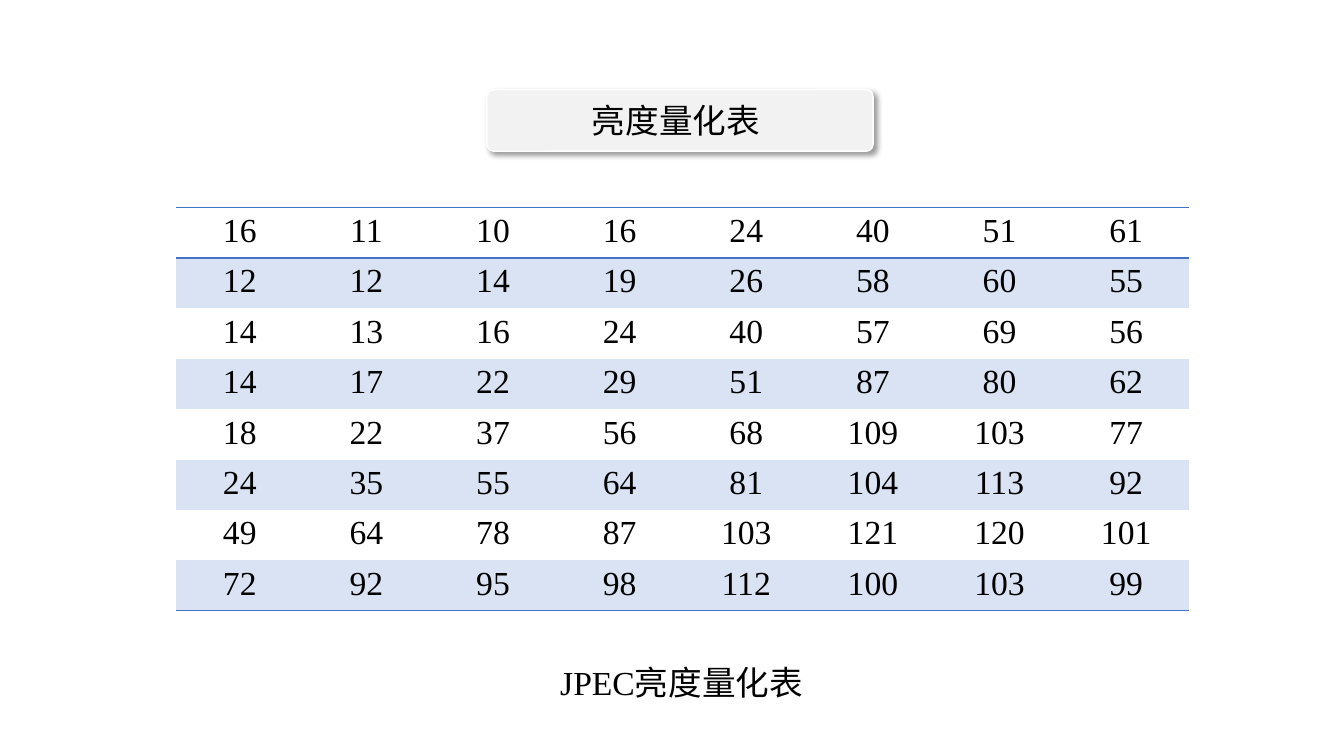
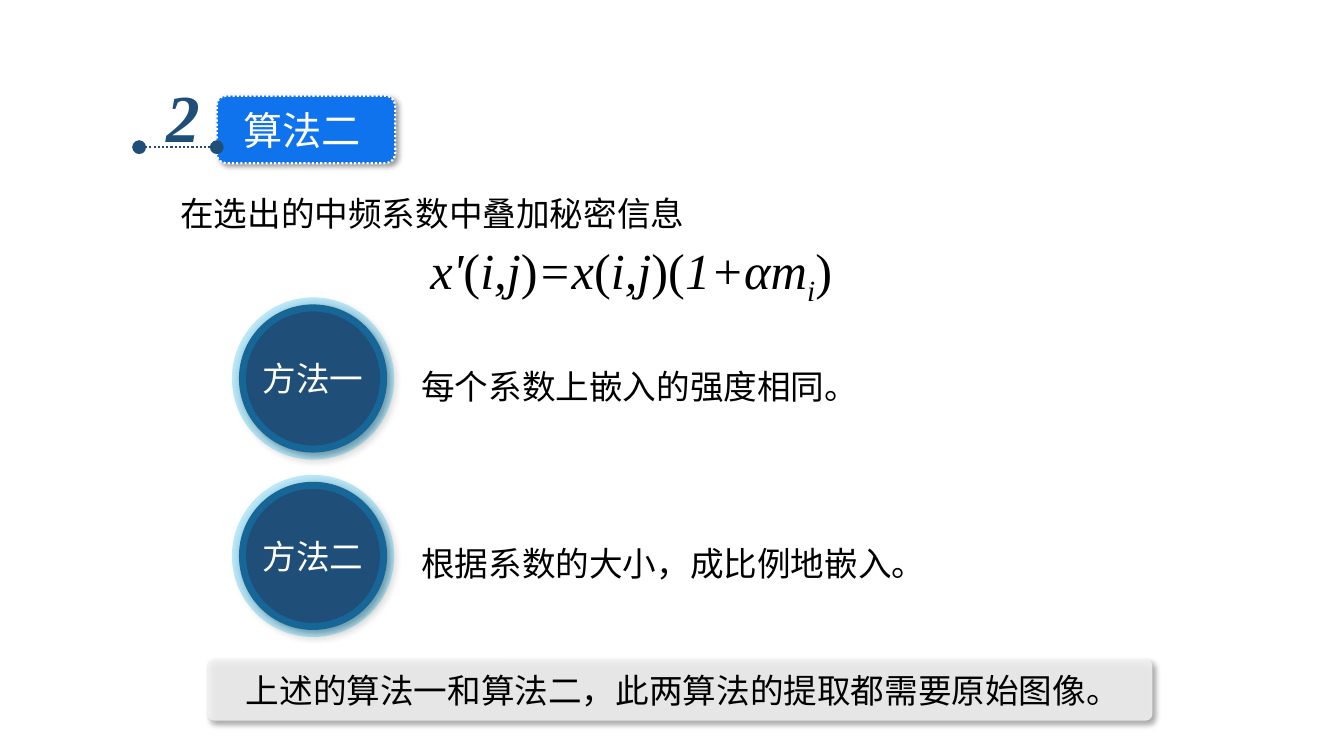
from dataclasses import dataclass

from lxml import etree
from pptx import Presentation
from pptx import util as u
from pptx.dml import color
from pptx.enum import dml, shapes, text
from pptx.oxml import ns

ROUND = shapes.MSO_SHAPE.ROUNDED_RECTANGLE
OVAL = shapes.MSO_SHAPE.OVAL
LEFT = text.PP_ALIGN.LEFT
MID = text.PP_ALIGN.CENTER


@dataclass(frozen=True)
class Theme:
    black: str = "000000"
    white: str = "FFFFFF"
    grey: str = "F2F2F2"
    navy: str = "1F4E79"
    blue: str = "0F73EE"
    ring: str = "00B0F0"
    rule: str = "4472C4"
    band: str = "DAE3F3"
    sans: str = "Noto Sans CJK SC"
    serif: str = "Times New Roman"
    body: int = 24
    head: int = 28
    math: int = 36
    num: int = 48
    plain: str = "{2D5ABB26-0587-4C30-8999-92F81FD0307C}"


T = Theme()


def rgb(code):
    return color.RGBColor.from_string(code)


def put(item, values):
    for name, value in values.items():
        setattr(item, name, value)


def sub(node, tag, **attrs):
    return etree.SubElement(node, ns.qn("a:" + tag), attrs)


def fade(fill, pct):
    node = fill._xPr.find(ns.qn("a:solidFill"))
    sub(node[0], "alpha", val=str(pct * 1000))


class Deck:
    def __init__(self, theme):
        self.theme = theme
        self.prs = Presentation()
        put(self.prs, {"slide_width": u.Inches(13.33), "slide_height": u.Inches(7.5)})
        self.slide = None

    def page(self):
        self.slide = self.prs.slides.add_slide(self.prs.slide_layouts[6])

    def run(self, para, words, size, ink, face, **style):
        run = para.add_run()
        run.text = words
        put(run.font, {"name": face, "size": u.Pt(size), **style})
        run.font.color.rgb = rgb(ink)
        sub(run.font._rPr, "ea", typeface=self.theme.sans)
        return run

    def label(self, at, words, size=T.body, ink=T.black, face=T.sans,
              align=LEFT, space=None, wrap=False, **style):
        box = self.slide.shapes.add_textbox(*map(u.Inches, at))
        box.text_frame.word_wrap = wrap
        para = box.text_frame.paragraphs[0]
        put(para, {"alignment": align, "line_spacing": space})
        if words:
            self.run(para, words, size, ink, face, **style)
        return para

    def shape(self, kind, at, fill, words, adj=None, line=None, width=1, dash=None,
              clear=None, haze=None, size=T.body, ink=T.black, align=MID, left=0, right=0):
        item = self.slide.shapes.add_shape(kind, *map(u.Inches, at))
        if adj:
            item.adjustments[0] = adj
        item.fill.solid()
        item.fill.fore_color.rgb = rgb(fill)
        if clear:
            fade(item.fill, clear)
        if line:
            item.line.color.rgb = rgb(line)
            put(item.line, {"width": u.Pt(width), "dash_style": dash})
            if haze:
                fade(item.line.fill, haze)
        else:
            item.line.fill.background()
        self.shade(item)
        frame = item.text_frame
        put(frame, {"word_wrap": False, "vertical_anchor": text.MSO_ANCHOR.MIDDLE,
                    "margin_left": u.Inches(left), "margin_right": u.Inches(right)})
        para = frame.paragraphs[0]
        para.alignment = align
        self.run(para, words, size, ink, self.theme.sans)

    def shade(self, item):
        item.shadow.inherit = False
        glow = item._element.spPr.find(ns.qn("a:effectLst"))
        outer = sub(glow, "outerShdw", blurRad=str(u.Pt(4)), dist=str(u.Pt(3)),
                    dir="2700000", algn="tl", rotWithShape="0")
        sub(sub(outer, "srgbClr", val=self.theme.black), "alpha", val="40000")

    def link(self, start, end, ink, width):
        ends = map(u.Inches, (*start, *end))
        item = self.slide.shapes.add_connector(shapes.MSO_CONNECTOR.STRAIGHT, *ends)
        item.line.color.rgb = rgb(ink)
        put(item.line, {"width": u.Pt(width), "dash_style": dml.MSO_LINE.ROUND_DOT})
        for tag in ("headEnd", "tailEnd"):
            sub(item.line._ln, tag, type="oval", w="lg", len="lg")
        sub(item._element.spPr, "effectLst")

    def edge(self, cell, tag):
        line = etree.Element(ns.qn("a:" + tag), w=str(u.Pt(1)))
        sub(sub(line, "solidFill"), "srgbClr", val=self.theme.rule)
        return line

    def table(self, at, rows):
        high, wide = len(rows), len(rows[0])
        grid = self.slide.shapes.add_table(high, wide, *map(u.Inches, at)).table
        put(grid, {"first_row": False, "horz_banding": False})
        grid._tbl.tblPr.find(ns.qn("a:tableStyleId")).text = self.theme.plain
        for r, row in enumerate(rows):
            for c, value in enumerate(row):
                cell = grid.cell(r, c)
                if r % 2:
                    cell.fill.solid()
                    cell.fill.fore_color.rgb = rgb(self.theme.band)
                else:
                    cell.fill.background()
                tags = ["lnT"] * (r == 0) + ["lnB"] * (r in (0, high - 1))
                for spot, tag in enumerate(tags):
                    cell._tc.tcPr.insert(spot, self.edge(cell, tag))
                para = cell.text_frame.paragraphs[0]
                para.alignment = MID
                self.run(para, str(value), self.theme.body, self.theme.black, self.theme.serif)


LEVELS = [
    (16, 11, 10, 16, 24, 40, 51, 61),
    (12, 12, 14, 19, 26, 58, 60, 55),
    (14, 13, 16, 24, 40, 57, 69, 56),
    (14, 17, 22, 29, 51, 87, 80, 62),
    (18, 22, 37, 56, 68, 109, 103, 77),
    (24, 35, 55, 64, 81, 104, 113, 92),
    (49, 64, 78, 87, 103, 121, 120, 101),
    (72, 92, 95, 98, 112, 100, 103, 99),
]
WAYS = [("方法一", "每个系数上嵌入的强度相同。"), ("方法二", "根据系数的大小，成比例地嵌入。")]
TERMS = [("x'", True), ("(", False), ("i,j", True), (")", False), ("=x", True), ("(", False),
         ("i,j", True), (")(", False), ("1+αm", True), ("i", True), (")", False)]
SUB = 9


def levels(deck):
    deck.page()
    deck.shape(ROUND, (4.83, 0.89, 3.83, 0.61), T.grey, "亮度量化表",
               adj=0.11, line=T.white, right=0.08)
    deck.table((1.75, 2.06, 10.05, 4), LEVELS)
    deck.label((5.42, 6.52, 2.68, 0.5), "JPEC亮度量化表", face=T.serif, align=MID)


def method(deck):
    deck.page()
    deck.shape(ROUND, (2.06, 6.54, 9.37, 0.61), T.grey,
               "上述的算法一和算法二，此两算法的提取都需要原始图像。",
               adj=0.11, clear=85, align=LEFT, left=0.36)
    deck.shape(ROUND, (2.15, 0.95, 1.77, 0.67), T.blue, "算法二", adj=0.14, line=T.white,
               width=1.5, dash=dml.MSO_LINE.ROUND_DOT, size=T.head, ink=T.white,
               align=LEFT, left=0.24)
    deck.label((1.55, 0.7, 0.54, 0.91), "2", T.num, T.navy, T.serif, bold=True, italic=True)
    deck.link((1.38, 1.46), (2.15, 1.46), T.navy, 1.5)
    deck.label((1.69, 1.86, 5.53, 0.5), "在选出的中频系数中叠加秘密信息", wrap=True)
    for n, (name, note) in enumerate(WAYS):
        top = 3.02 + 1.76 * n
        deck.label((4.08, top + 0.36, 5.25, 0.64), note, space=1.5)
        deck.shape(OVAL, (2.37, top, 1.47, 1.47), T.navy, name, line=T.ring,
                   width=10, haze=25, ink=T.white)
    para = deck.label((4.17, 2.32, 4.2, 0.71), "")
    for n, (term, slant) in enumerate(TERMS):
        run = deck.run(para, term, T.math, T.black, T.serif, italic=slant)
        if n == SUB:
            run.font._rPr.set("baseline", "-25000")


def main():
    deck = Deck(T)
    levels(deck)
    method(deck)
    deck.prs.save("out.pptx")


if __name__ == "__main__":
    main()
